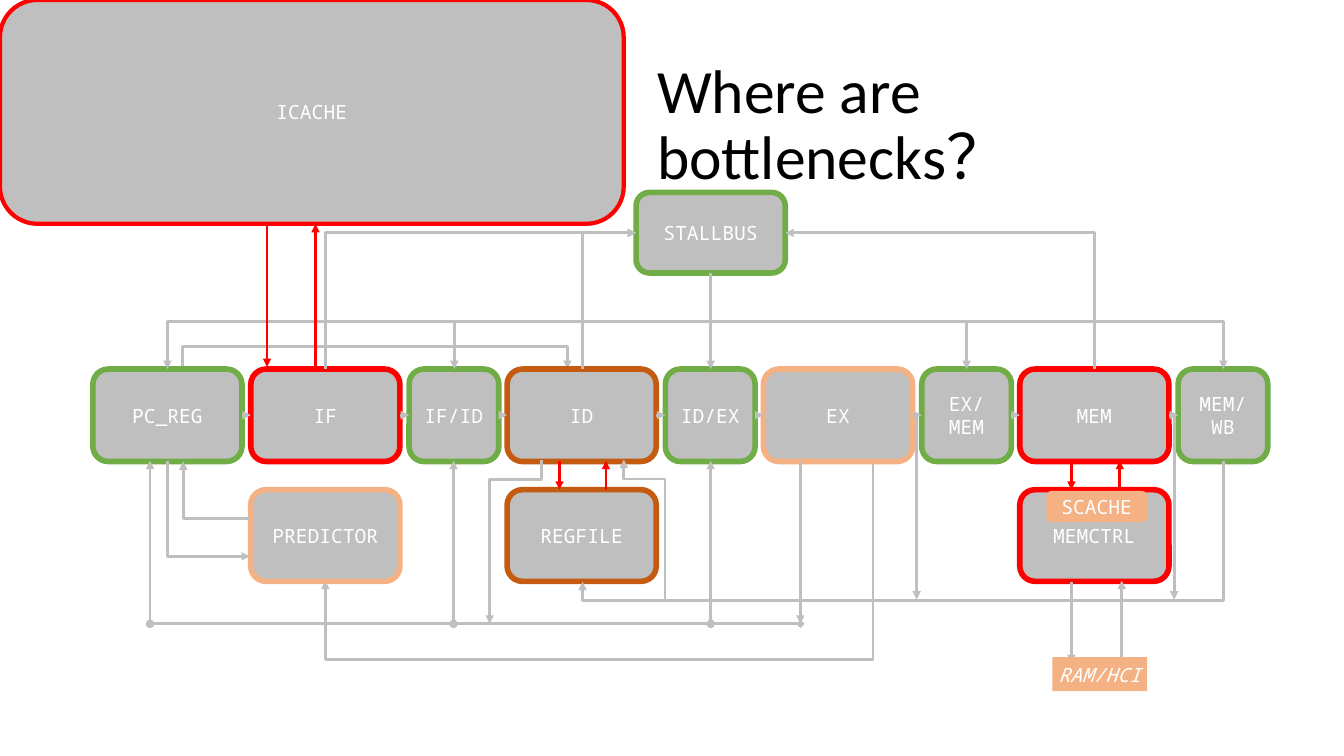
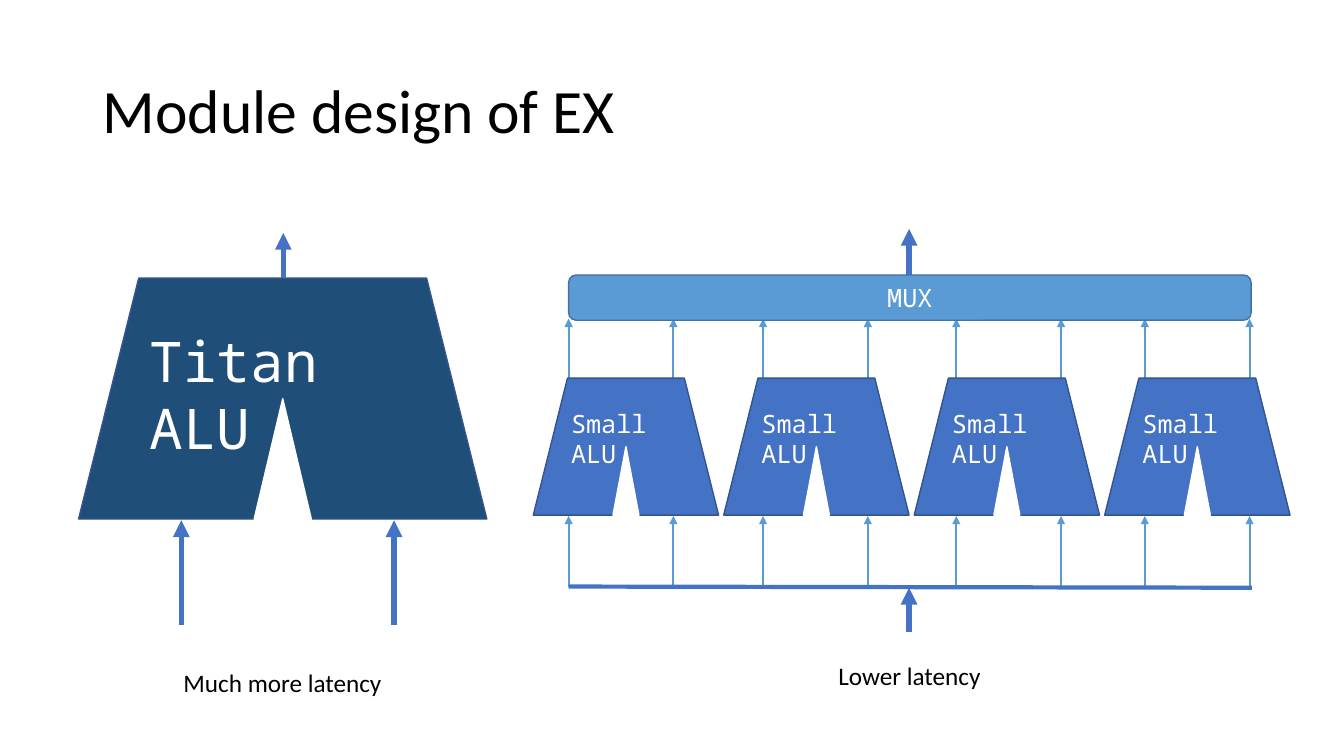
"""Build two slides on processor bottlenecks and the design of the EX module."""
from dataclasses import dataclass, replace
from itertools import pairwise
from typing import Any, Optional

from lxml.etree import SubElement
from pptx import Presentation
from pptx.dml.color import RGBColor
from pptx.enum.shapes import MSO_CONNECTOR as Link, MSO_SHAPE as Preset
from pptx.enum.text import MSO_ANCHOR as Anchor, PP_ALIGN as Align
from pptx.oxml.ns import qn
from pptx.util import Cm, Pt

WHITE, BLACK, GREY, RED = "FFFFFF", "000000", "BFBFBF", "FF0000"
GREEN, BROWN, PEACH = "70AD47", "C55A11", "F4B183"
BLUE, SKY, NAVY, EDGE = "4472C4", "5B9BD5", "1F4E79", "325491"

CODE = {"name": "Noto Sans Mono", "size": Pt(14)}
CODE_ITALIC = CODE | {"italic": True}
CODE_MEDIUM = CODE | {"size": Pt(18)}
CODE_LARGE = CODE | {"size": Pt(40)}
HEADING = {"name": "Calibri", "size": Pt(44)}
CAPTION = HEADING | {"size": Pt(18)}
NO_MARGINS = {"margin_left": 0, "margin_right": 0}

WIDE, NARROW, PITCH = 3.76, 2.26, 6.46
STAGE_TOP, STAGE_HEIGHT, STAGE_MIDDLE = 9.3, 2.33, 10.46
UNIT_TOP, UNIT_HEIGHT = 12.34, 2.31
STAGE_BOTTOM, BUS = 11.61, 15.72


@dataclass(frozen=True)
class Box:
    label: str
    left: float
    top: float
    width: float
    height: float
    line: Optional[str] = None
    weight: float = 4
    fill: str = GREY
    preset: Any = Preset.ROUNDED_RECTANGLE
    font: Any = None
    margins: Any = None


@dataclass(frozen=True)
class Wire:
    x1: float
    y1: float
    x2: float
    y2: float
    color: str = GREY
    weight: float = 2
    head: Optional[str] = None
    tail: Optional[str] = "triangle"


@dataclass(frozen=True)
class Elbow(Wire):
    bend: Optional[float] = None
    vertical: bool = True


def rgb(value: str) -> RGBColor:
    """Turn a hex string into a colour."""
    return RGBColor.from_string(value)


def apply(target: Any, values: dict) -> None:
    """Set every attribute named in the dict."""
    for name, value in values.items():
        setattr(target, name, value)


def write(shape: Any, text: str, font: dict, color: str = WHITE,
          align: Any = Align.CENTER, anchor: Any = Anchor.MIDDLE,
          spacing: Optional[float] = None) -> None:
    """Fill a shape with one formatted paragraph."""
    frame = shape.text_frame
    apply(frame, {"word_wrap": True, "vertical_anchor": anchor})
    paragraph = frame.paragraphs[0]
    apply(paragraph, {"alignment": align, "line_spacing": spacing})
    run = paragraph.add_run()
    run.text = text
    apply(run.font, font)
    run.font.color.rgb = rgb(color)


def add_text(shapes: Any, text: str, left: float, top: float, width: float,
             height: float, font: dict, **style: Any) -> None:
    """Add a wrapped text box."""
    shape = shapes.add_textbox(Cm(left), Cm(top), Cm(width), Cm(height))
    write(shape, text, font, **style)


def add_title(slide: Any, text: str, left: float, top: float,
              width: float) -> None:
    """Add the slide title."""
    add_text(slide.shapes, text, left, top, width, 3.68, HEADING,
             color=BLACK, align=Align.LEFT, spacing=0.9)


def add_box(shapes: Any, box: Box) -> None:
    """Draw a filled shape with its label."""
    shape = shapes.add_shape(box.preset, Cm(box.left), Cm(box.top),
                             Cm(box.width), Cm(box.height))
    shape.shadow.inherit = False
    shape.fill.solid()
    shape.fill.fore_color.rgb = rgb(box.fill)
    if box.line:
        shape.line.color.rgb = rgb(box.line)
        shape.line.width = Pt(box.weight)
    else:
        shape.line.fill.background()
    if box.label:
        write(shape, box.label, box.font or CODE)
        apply(shape.text_frame, box.margins or {})


def bend_connector(connector: Any, elbow: Elbow) -> None:
    """Route an elbow through a corner or along its bend level."""
    properties = connector._element.spPr
    geometry = properties.find(qn("a:prstGeom"))
    across, down = elbow.x2 - elbow.x1, elbow.y2 - elbow.y1
    if elbow.bend is None:
        geometry.set("prst", "bentConnector2")
    else:
        share = round((elbow.bend - elbow.y1) / down * 100000)
        guide = SubElement(geometry.find(qn("a:avLst")), qn("a:gd"))
        guide.set("name", "adj1")
        guide.set("fmla", f"val {share}")
    if elbow.vertical:
        width, height = abs(down), abs(across)
        apply(connector, {
            "left": Cm((elbow.x1 + elbow.x2 - width) / 2),
            "top": Cm((elbow.y1 + elbow.y2 - height) / 2),
            "width": Cm(width), "height": Cm(height)})
        transform = properties.find(qn("a:xfrm"))
        turn = 270 if across * down > 0 else 90
        transform.set("rot", str(turn * 60000))
        transform.set("flipH", str(int(across > 0)))
        transform.set("flipV", str(int(down < 0)))


def add_wire(shapes: Any, wire: Wire) -> None:
    """Draw a straight or bent connector with its line ends."""
    bent = isinstance(wire, Elbow)
    connector = shapes.add_connector(
        Link.ELBOW if bent else Link.STRAIGHT,
        Cm(wire.x1), Cm(wire.y1), Cm(wire.x2), Cm(wire.y2))
    if bent:
        bend_connector(connector, wire)
    connector.line.color.rgb = rgb(wire.color)
    connector.line.width = Pt(wire.weight)
    line = connector.line._get_or_add_ln()
    for tag, kind in (("a:headEnd", wire.head), ("a:tailEnd", wire.tail)):
        if kind:
            SubElement(line, qn(tag)).set("type", kind)
    SubElement(connector._element.spPr, qn("a:effectLst"))


def add_alu(slide: Any, alu: Box) -> None:
    """Draw a notched trapezoid and its label as one group."""
    shapes = slide.shapes.add_group_shape().shapes
    add_box(shapes, replace(alu, label="", preset=Preset.TRAPEZOID))
    add_box(shapes, Box("", alu.left + 0.43 * alu.width,
                        alu.top + alu.height / 2, 0.14 * alu.width,
                        alu.height / 2, WHITE, 1, WHITE,
                        Preset.ISOSCELES_TRIANGLE))
    add_text(shapes, alu.label, alu.left + 0.15 * alu.width,
             alu.top + 0.18 * alu.height, 0.72 * alu.width,
             0.3 * alu.height, alu.font, align=Align.LEFT, anchor=Anchor.TOP)


def build_bottlenecks(slide: Any) -> None:
    """Draw the pipeline and mark its slow parts."""
    shapes = slide.shapes
    wide = [6.32 + PITCH * column for column in range(4)]
    narrow = [10.31 + PITCH * column for column in range(4)]
    wide_stages = zip(("IF", "ID", "EX", "MEM"), wide,
                      (RED, BROWN, PEACH, RED))
    registers = zip(("IF/ID", "ID/EX", "EX/MEM", "MEM/WB"), narrow)
    stages = [Box("PC_REG", 2.34, STAGE_TOP, WIDE, STAGE_HEIGHT, GREEN)]
    for (name, left, line), (register, edge) in zip(wide_stages, registers):
        stages += [Box(name, left, STAGE_TOP, WIDE, STAGE_HEIGHT, line),
                   Box(register, edge, STAGE_TOP, NARROW, STAGE_HEIGHT, GREEN)]
    units = [
        Box(name, left, UNIT_TOP, WIDE, UNIT_HEIGHT, line)
        for name, left, line in (("PREDICTOR", wide[0], PEACH),
                                 ("REGFILE", wide[1], BROWN),
                                 ("MEMCTRL", wide[3], RED))]
    others = [Box("ICACHE", 0, 0, 15.72, 5.64, RED, 3),
              Box("SCACHE", 26.37, 12.37, 2.54, 0.79, fill=PEACH),
              Box("STALLBUS", 16.03, 4.85, WIDE, 2.03, GREEN)]
    back = [Elbow(22, STAGE_BOTTOM, 8.2, 14.63, bend=16.61),
            Elbow(4.6, 9.35, 14.3, STAGE_TOP, bend=8.74)]
    flow = [Wire(stage.left + stage.width, STAGE_MIDDLE, following.left,
                 STAGE_MIDDLE) for stage, following in pairwise(stages)]
    stalls = [Elbow(17.91, 6.88, x, STAGE_TOP, bend=8.1)
              for x in (11.45, 24.36, 30.83, 4.22)]
    requests = [Elbow(x, STAGE_TOP, end, 5.87)
                for x, end in ((8.2, 16.03), (14.68, 16.03), (27.58, 19.79))]
    jumps = [Wire(x, BUS, x, STAGE_BOTTOM, head="oval")
             for x in (17.91, 11.43, 3.78)]
    forwards = [Elbow(x, STAGE_MIDDLE, x + 0.1, 15.11, vertical=False)
                for x in (29.49, 23)]
    links = [
        Wire(17.91, 6.88, 17.91, STAGE_TOP),
        Elbow(30.84, STAGE_BOTTOM, 14.68, 14.66, bend=15.14),
        Wire(3.78, BUS, 20.17, BUS, tail="diamond"),
        Elbow(13.64, 11.58, 12.34, BUS, bend=12.09),
        Wire(20.17, STAGE_BOTTOM, 20.17, BUS),
        Elbow(16.76, 15.11, 15.72, 11.58, bend=12.07),
        Wire(27, 14.66, 27, 16.71), Wire(28.27, 16.71, 28.27, 14.63),
        Elbow(6.3, 13.06, 4.62, 11.63, vertical=False),
        Elbow(4.22, STAGE_BOTTOM, 6.3, 14.02)]
    slow = [Wire(x, start, x, end, RED) for x, start, end in (
        (6.73, 5.69, 9.25), (7.95, 9.25, 5.64),
        (14.1, STAGE_BOTTOM, UNIT_TOP), (15.27, UNIT_TOP, STAGE_BOTTOM),
        (27, STAGE_BOTTOM, UNIT_TOP), (28.22, UNIT_TOP, STAGE_BOTTOM))]
    for wire in back:
        add_wire(shapes, wire)
    for box in stages + units + others:
        add_box(shapes, box)
    for wire in flow + stalls + requests + jumps + forwards + links + slow:
        add_wire(shapes, wire)
    add_box(shapes, Box("RAM/HCI", 26.52, 16.56, 2.39, 0.86, fill=PEACH,
                        preset=Preset.RECTANGLE, font=CODE_ITALIC,
                        margins=NO_MARGINS))
    add_title(slide, "Where are bottlenecks？", 16.31, 1.35, 15.27)


def build_ex_design(slide: Any) -> None:
    """Compare one large ALU with four small ones."""
    shapes = slide.shapes
    add_title(slide, "Module design of EX", 2.34, 1.02, 29.21)
    for left in (14.33, 19.23, 24.1, 28.85):
        for x in (left, left + 2.64):
            add_wire(shapes, Wire(x, 14.78, x, 13, SKY, 1.5))
            add_wire(shapes, Wire(x, 9.8, x, 8.03, SKY, 1.5))
    add_wire(shapes, Wire(14.33, 14.78, 31.55, 14.81, BLUE, 3, tail=None))
    add_alu(slide, Box("Titan ALU", 1.98, 7.01, 10.29, 6.07, EDGE, 1, NAVY,
                       font=CODE_LARGE))
    for column in range(4):
        add_alu(slide, Box("Small ALU", 13.44 + 4.8 * column, 9.53, 4.67,
                           3.45, EDGE, 1, BLUE, font=CODE_MEDIUM))
    add_box(shapes, Box("MUX", 14.33, 6.93, 17.2, 1.14, "43739E", 1, SKY,
                        font=CODE_MEDIUM))
    for x, start, end in ((22.91, 15.93, 14.81), (22.91, 6.93, 5.77),
                          (9.93, 15.75, 13.11), (4.57, 15.75, 13.11),
                          (7.14, 7.01, 5.87)):
        add_wire(shapes, Wire(x, start, x, end, BLUE, 4))
    for text, left, top in (("Much more latency", 4.29, 16.69),
                            ("Lower latency", 20.09, 16.51)):
        add_text(shapes, text, left, top, 5.66, 1.02, CAPTION, color=BLACK,
                 anchor=Anchor.TOP)


def main() -> None:
    """Build and save the presentation."""
    presentation = Presentation()
    apply(presentation, {"slide_width": Cm(33.87), "slide_height": Cm(19.05)})
    for build in (build_bottlenecks, build_ex_design):
        build(presentation.slides.add_slide(presentation.slide_layouts[6]))
    presentation.save("out.pptx")


main()
